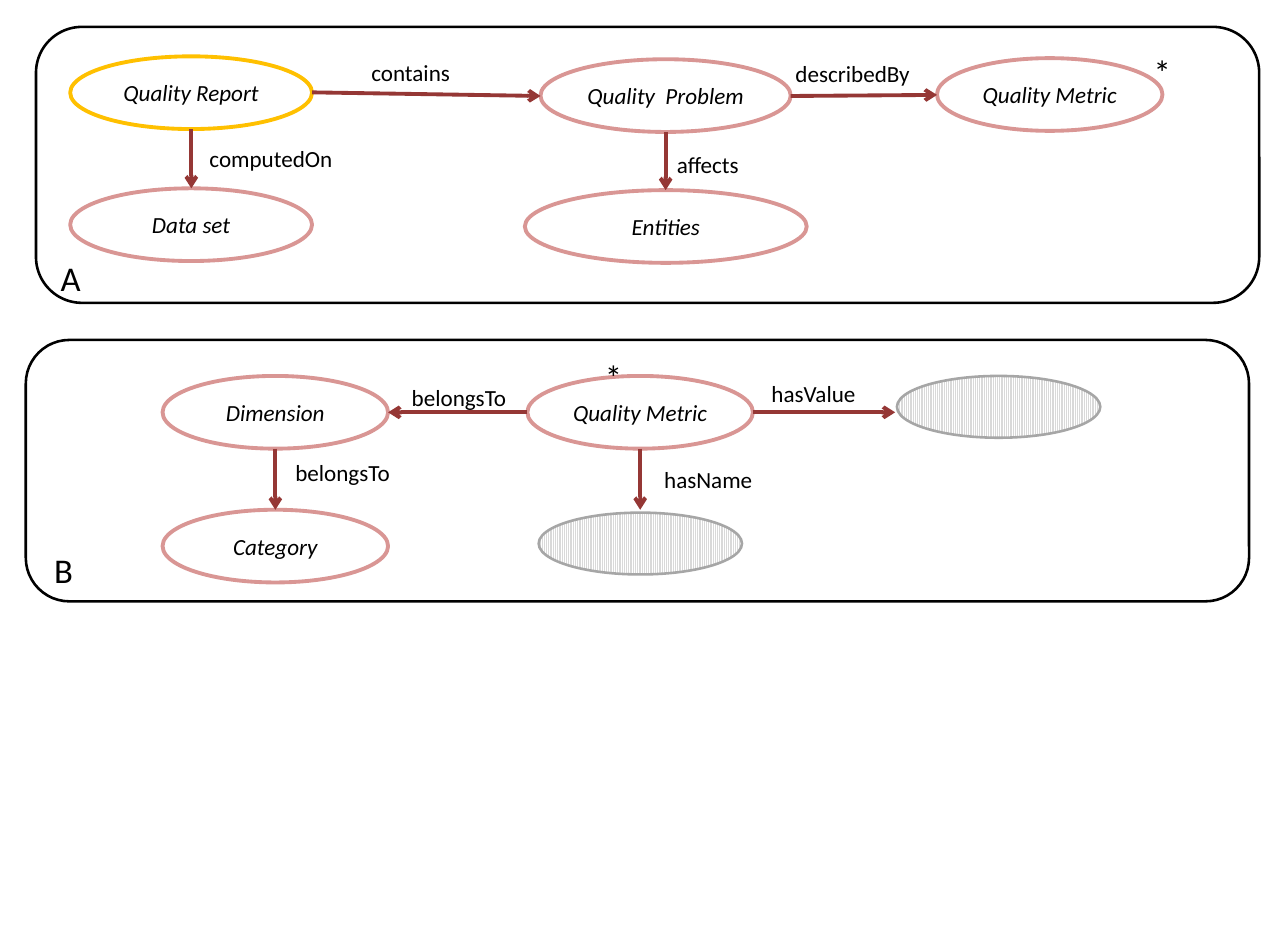
from pptx import Presentation
from pptx.dml.color import RGBColor
from pptx.enum import dml, shapes, text
from pptx.oxml import ns
from pptx.util import Cm, Pt
from lxml import etree

HUES = {"ink": "000000", "paper": "FFFFFF", "rose": "D99694", "gold": "FFC000",
        "wine": "953735", "gray": "A6A6A6", "pale": "D9D9D9"}
HUES = {name: RGBColor.from_string(code) for name, code in HUES.items()}
FONTS = {
    "node": {"name": "Calibri", "size": Pt(18), "italic": True},
    "label": {"name": "Calibri", "size": Pt(18), "italic": False},
    "mark": {"name": "Calibri", "size": Pt(27), "italic": False},
}
FRAMES = {
    "node": {"word_wrap": True, "vertical_anchor": text.MSO_ANCHOR.MIDDLE,
             "margin_left": 0, "margin_right": 0},
    "label": {"word_wrap": True, "auto_size": text.MSO_AUTO_SIZE.SHAPE_TO_FIT_TEXT},
    "mark": {"word_wrap": False, "auto_size": text.MSO_AUTO_SIZE.SHAPE_TO_FIT_TEXT},
}

deck = Presentation()
deck.slide_width, deck.slide_height = Cm(35.41), Cm(25.88)
slide = deck.slides.add_slide(deck.slide_layouts[6])


def outline(kind, box, hue, width):
    shape = slide.shapes.add_shape(kind, *map(Cm, box))
    shape.shadow.inherit = False
    shape.line.color.rgb = HUES[hue]
    shape.line.width = Pt(width)
    return shape


def write(shape, words, style, align):
    frame = shape.text_frame
    for key, value in FRAMES[style].items():
        setattr(frame, key, value)
    line = frame.paragraphs[0]
    line.alignment = align
    run = line.add_run()
    run.text = words
    run.font.color.rgb = HUES["ink"]
    for key, value in FONTS[style].items():
        setattr(run.font, key, value)


# Panels: left, top, width, height
for box in [(0.99, 0.74, 33.63, 7.59), (0.71, 9.35, 33.63, 7.19)]:
    panel = outline(shapes.MSO_SHAPE.ROUNDED_RECTANGLE, box, "ink", 2)
    panel.fill.background()

# Concepts: words, left, top, width, line hue
nodes = [
    ("Quality Report", 1.93, 1.55, 6.65, "gold"),
    ("Quality  Problem", 14.86, 1.63, 6.88, "rose"),
    ("Quality Metric", 25.76, 1.6, 6.2, "rose"),
    ("Data set", 1.93, 5.18, 6.65, "rose"),
    ("Entities", 14.43, 5.23, 7.75, "rose"),
    ("Dimension", 4.47, 10.34, 6.2, "rose"),
    ("Quality Metric", 14.5, 10.34, 6.2, "rose"),
    ("Category", 4.47, 14.02, 6.2, "rose"),
]
for words, left, top, width, hue in nodes:
    node = outline(shapes.MSO_SHAPE.OVAL, (left, top, width, 2), hue, 3)
    node.fill.solid()
    node.fill.fore_color.rgb = HUES["paper"]
    write(node, words, "node", text.PP_ALIGN.CENTER)

# Literal values: hatched ovals without words
for left, top in [(24.66, 10.34), (14.81, 14.1)]:
    value = outline(shapes.MSO_SHAPE.OVAL, (left, top, 5.59, 1.7), "gray", 2)
    value.fill.patterned()
    value.fill.pattern = dml.MSO_PATTERN.LIGHT_VERTICAL
    value.fill.fore_color.rgb = HUES["pale"]
    value.fill.back_color.rgb = HUES["paper"]

# Relations: words, label (left, top, width), arrow start, arrow end
links = [
    ("contains", (9.96, 1.47, 3.56), (8.58, 2.54), (14.86, 2.64)),
    ("describedBy", (21.62, 1.52, 4.27), (21.74, 2.64), (25.76, 2.61)),
    ("computedOn", (5.51, 3.84, 4.78), (5.26, 3.55), (5.26, 5.18)),
    ("affects", (18.36, 4.01, 3.02), (18.3, 3.63), (18.3, 5.23)),
    ("belongsTo", (11.07, 10.41, 3.56), (14.5, 11.34), (10.67, 11.34)),
    ("hasValue", (20.96, 10.31, 3.56), (20.7, 11.34), (24.61, 11.34)),
    ("belongsTo", (7.87, 12.47, 3.56), (7.57, 12.34), (7.57, 14.02)),
    ("hasName", (18.01, 12.67, 3.56), (17.6, 12.34), (17.6, 14.02)),
]
for words, spot, start, end in links:
    arrow = slide.shapes.add_connector(
        shapes.MSO_CONNECTOR.STRAIGHT, *map(Cm, start + end))
    arrow.line.color.rgb = HUES["wine"]
    arrow.line.width = Pt(3)
    etree.SubElement(arrow.line._get_or_add_ln(), ns.qn("a:tailEnd"), type="arrow")
    etree.SubElement(arrow._element.spPr, ns.qn("a:effectLst"))
    label = slide.shapes.add_textbox(*map(Cm, (*spot, 1.02)))
    write(label, words, "label", text.PP_ALIGN.LEFT)

# Panel letters and asterisks: words, left, top
marks = [("A", 1.42, 6.93), ("B", 1.24, 14.96), ("*", 31.47, 1.27), ("*", 16.38, 9.65)]
for words, left, top in marks:
    mark = slide.shapes.add_textbox(*map(Cm, (left, top, 1, 1.42)))
    write(mark, words, "mark", text.PP_ALIGN.LEFT)

deck.save("out.pptx")
